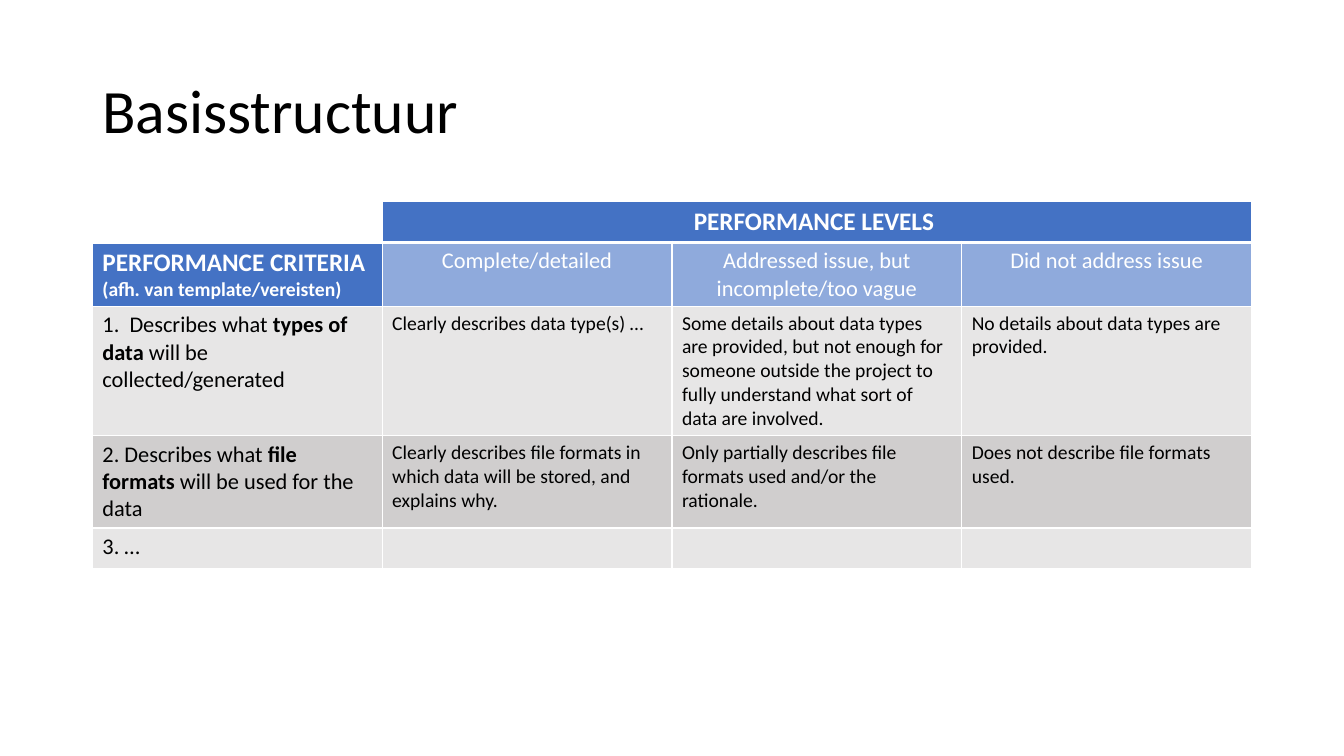
from lxml.etree import SubElement
from pptx import Presentation
from pptx.dml.color import RGBColor
from pptx.enum.text import MSO_ANCHOR, PP_ALIGN
from pptx.oxml.ns import qn
from pptx.util import Pt

FONT = "Calibri"
COLORS = {
    "text": "000000",
    "white": "FFFFFF",
    "header": "4472C4",
    "level": "8FAADC",
    "light": "E7E6E6",
    "dark": "D0CECE",
}
LEFT, WIDTH = 66, 828
ROW_HEIGHTS = [29.2, 45.6, 92.4, 66, 29.2]
LEVELS = ["Complete/detailed", "Addressed issue, but incomplete/too vague", "Did not address issue"]
CRITERIA = [
    ("light", [
        "1.  Describes what **types of data **will be collected/generated",
        "Clearly describes data type(s) …",
        "Some details about data types are provided, but not enough for someone "
        "outside the project to fully understand what sort of data are involved.",
        "No details about data types are provided.",
    ]),
    ("dark", [
        "2. Describes what **file formats **will be used for the data",
        "Clearly describes file formats in which data will be stored, and explains why.",
        "Only partially describes file formats used and/or the rationale.",
        "Does not describe file formats used.",
    ]),
    ("light", ["3. …", "", "", ""]),
]


def rgb(name):
    return RGBColor.from_string(COLORS[name])


def write(p, text, size=14, color="text", bold=False, align=PP_ALIGN.LEFT, spacing=None):
    """Fill a paragraph; text between ** marks switches bold."""
    p.alignment = align
    p.line_spacing = spacing
    for i, part in enumerate(text.split("**")):
        if part:
            r = p.add_run()
            r.text = part
            r.font.name = FONT
            r.font.size = Pt(size)
            r.font.bold = bold != bool(i % 2)
            r.font.color.rgb = rgb(color)


def add_title(s, text):
    tf = s.shapes.add_textbox(Pt(LEFT), Pt(28.8), Pt(WIDTH), Pt(104.4)).text_frame
    tf.word_wrap = True
    tf.vertical_anchor = MSO_ANCHOR.MIDDLE
    write(tf.paragraphs[0], text, size=44, spacing=0.9)


def set_borders(cell, **widths):
    """Draw white borders, 1 pt unless a side (L, R, T, B) is given."""
    tc_pr = cell._tc.get_or_add_tcPr()
    for side in "LRTB":
        ln = SubElement(tc_pr, qn(f"a:ln{side}"), w=str(Pt(widths.get(side, 1))))
        fill = SubElement(ln, qn("a:solidFill"))
        SubElement(fill, qn("a:srgbClr"), val=COLORS["white"])


def paint(cell, color):
    cell.fill.solid()
    cell.fill.fore_color.rgb = rgb(color)


def add_rubric(s):
    rows, cols = len(ROW_HEIGHTS), len(LEVELS) + 1
    table = s.shapes.add_table(rows, cols, Pt(LEFT), Pt(144), Pt(WIDTH), Pt(sum(ROW_HEIGHTS))).table
    for row, height in zip(table.rows, ROW_HEIGHTS):
        row.height = Pt(height)
    for r in range(rows):
        for c in range(cols):
            edges = {"B": 3} if r == 0 else {"T": 3} if r == 1 else {}
            set_borders(table.cell(r, c), **edges)

    table.cell(0, 0).fill.background()
    heading = table.cell(0, 1)
    heading.merge(table.cell(0, cols - 1))
    paint(heading, "header")
    write(heading.text_frame.paragraphs[0], "PERFORMANCE LEVELS ", size=18,
          color="white", bold=True, align=PP_ALIGN.CENTER)

    criteria = table.cell(1, 0)
    paint(criteria, "header")
    tf = criteria.text_frame
    write(tf.paragraphs[0], "PERFORMANCE CRITERIA", size=18, color="white", bold=True)
    write(tf.add_paragraph(), "(afh. van template/vereisten)", color="white", bold=True)
    for c, level in enumerate(LEVELS, 1):
        cell = table.cell(1, c)
        paint(cell, "level")
        write(cell.text_frame.paragraphs[0], level, size=16, color="white", align=PP_ALIGN.CENTER)

    for r, (color, texts) in enumerate(CRITERIA, 2):
        for c, text in enumerate(texts):
            cell = table.cell(r, c)
            paint(cell, color)
            write(cell.text_frame.paragraphs[0], text, size=14 if c else 16)


def main():
    prs = Presentation()
    prs.slide_width, prs.slide_height = Pt(960), Pt(540)
    s = prs.slides.add_slide(prs.slide_layouts[6])
    add_title(s, "Basisstructuur")
    add_rubric(s)
    prs.save("out.pptx")


if __name__ == "__main__":
    main()
